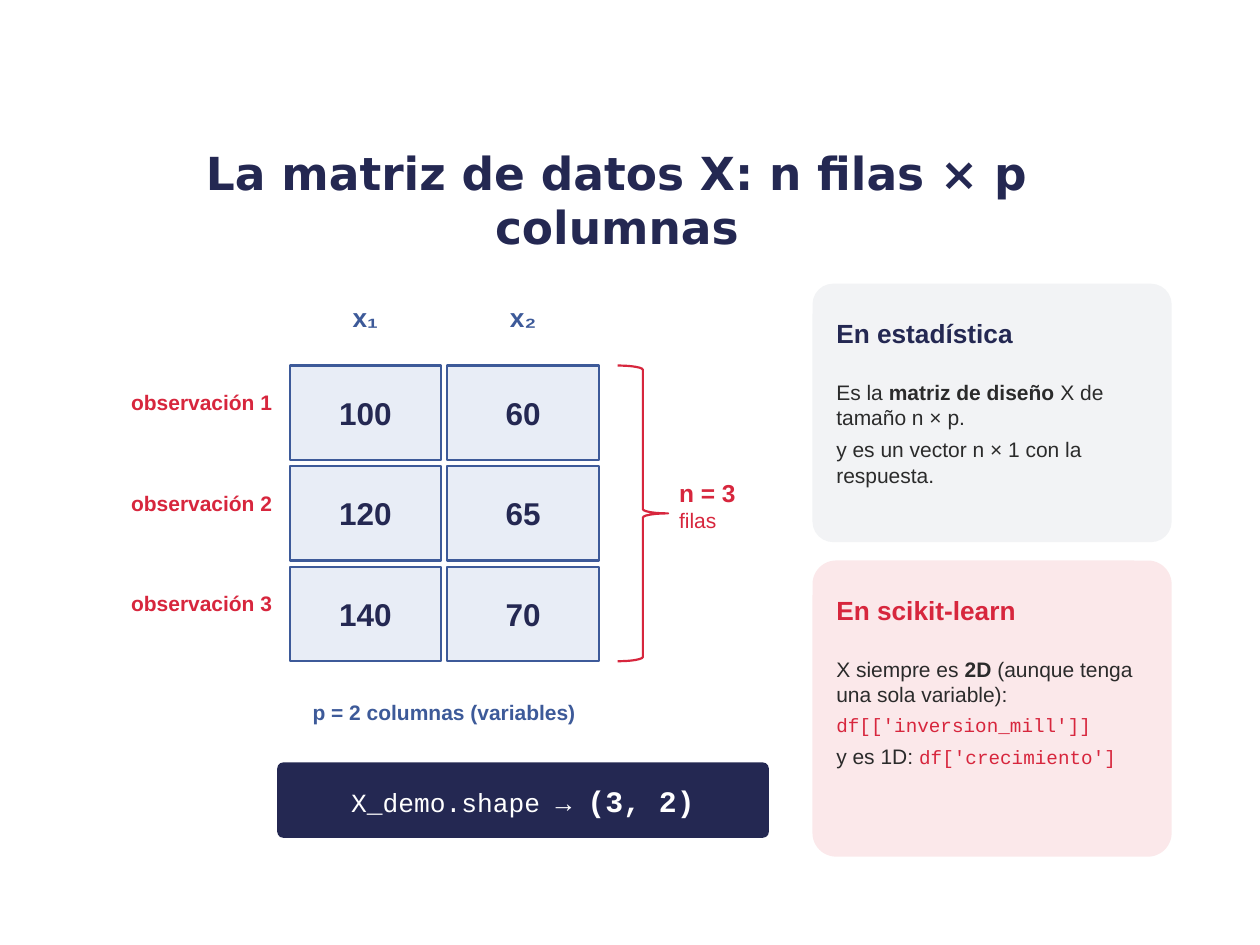
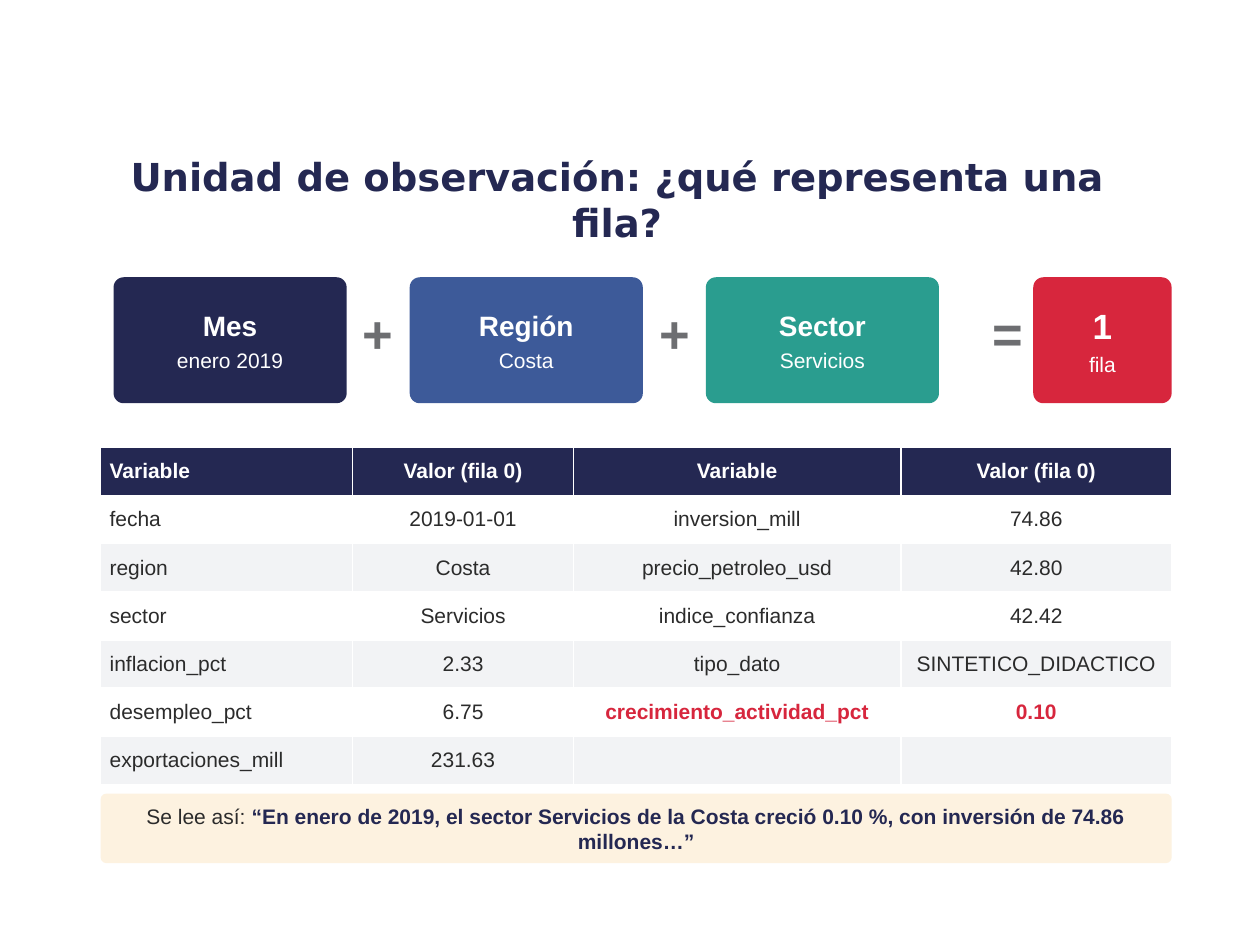
from dataclasses import dataclass, replace

from pptx import Presentation
from pptx.dml.color import RGBColor
from pptx.enum.shapes import MSO_SHAPE
from pptx.enum.text import MSO_ANCHOR, MSO_AUTO_SIZE, PP_ALIGN
from pptx.util import Cm, Pt


@dataclass(frozen=True)
class Theme:
    """Colours, fonts and type sizes shared by the slides."""
    navy: str = "242852"
    blue: str = "3D5A99"
    teal: str = "2A9D8F"
    red: str = "D7263D"
    ink: str = "2B2B2B"
    gray: str = "6D6E71"
    white: str = "FFFFFF"
    pale_blue: str = "E8EDF6"
    pale_gray: str = "F2F3F5"
    pale_red: str = "FBE8EA"
    cream: str = "FDF2E0"
    title_font: str = "DejaVu Sans"
    body_font: str = "Arial"
    code_font: str = "Courier New"
    code_size: int = 11
    body_size: int = 12
    label_size: int = 14
    heading_size: int = 15
    factor_size: int = 16
    result_size: int = 17
    value_size: int = 18
    total_size: int = 20
    long_title_size: int = 22
    title_size: int = 26
    operator_size: int = 30


THEME = Theme()


@dataclass(frozen=True)
class Type:
    size: int = THEME.body_size
    color: str = THEME.ink
    bold: bool = False
    font: str = THEME.body_font

    def apply(self, font):
        font.name, font.size, font.bold = self.font, Pt(self.size), self.bold
        font.color.rgb = RGBColor.from_string(self.color)


BODY = Type()
STRONG = Type(bold=True)
ACCENT = Type(color=THEME.red, bold=True)
CODE = Type(THEME.code_size, THEME.red, font=THEME.code_font)
VARIABLE = Type(THEME.heading_size, THEME.blue, True)
ON_DARK = Type(color=THEME.white)


class SlideBuilder:
    """Holds the theme and the slide being built; boxes are in centimetres."""

    def __init__(self, presentation, theme):
        self.presentation = presentation
        self.theme = theme
        self.slide = None

    def new_slide(self, title, size):
        layout = self.presentation.slide_layouts[5]
        self.slide = self.presentation.slides.add_slide(layout)
        shape = self.slide.shapes.title
        shape.left, shape.top, shape.width, shape.height = map(Cm, (1.9, 3, 21.08, 2.03))
        frame = shape.text_frame
        frame.auto_size = MSO_AUTO_SIZE.NONE
        frame.vertical_anchor = MSO_ANCHOR.MIDDLE
        style = Type(size, self.theme.navy, True, self.theme.title_font)
        self.add_runs(frame.paragraphs[0], [(title, style)], PP_ALIGN.CENTER)

    def add_runs(self, paragraph, runs, align=PP_ALIGN.LEFT, after=None):
        """Add (text, type) runs; a single run is styled on its paragraph."""
        paragraph.alignment = align
        if after is not None:
            paragraph.space_after = Pt(after)
        for text, style in runs:
            run = paragraph.add_run()
            run.text = text
            style.apply(paragraph.font if len(runs) == 1 else run.font)

    def fill_frame(self, frame, paragraphs, align, anchor, margin, after):
        frame.word_wrap = True
        frame.vertical_anchor = anchor
        frame.margin_left = frame.margin_right = Cm(margin)
        frame.margin_top = frame.margin_bottom = Cm(margin)
        for index, runs in enumerate(paragraphs):
            paragraph = frame.add_paragraph() if index else frame.paragraphs[0]
            self.add_runs(paragraph, runs, align, after)

    def text(self, box, paragraphs, align=PP_ALIGN.LEFT, anchor=MSO_ANCHOR.TOP, after=4):
        shape = self.slide.shapes.add_textbox(*map(Cm, box))
        self.fill_frame(shape.text_frame, paragraphs, align, anchor, 0.1, after)

    def shape(self, kind, box, fill=None, line=None, paragraphs=()):
        shape = self.slide.shapes.add_shape(kind, *map(Cm, box))
        shape.shadow.inherit = False
        if fill:
            shape.fill.solid()
            shape.fill.fore_color.rgb = RGBColor.from_string(fill)
        else:
            shape.fill.background()
        if line:
            shape.line.color.rgb = RGBColor.from_string(line)
            shape.line.width = Pt(1.25)
        else:
            shape.line.fill.background()
        if kind == MSO_SHAPE.ROUNDED_RECTANGLE:
            shape.adjustments[0] = 0.08
        if paragraphs:
            self.fill_frame(shape.text_frame, paragraphs, PP_ALIGN.CENTER,
                            MSO_ANCHOR.MIDDLE, 0.2, 3)

    def panel(self, box, fill, paragraphs=()):
        self.shape(MSO_SHAPE.ROUNDED_RECTANGLE, box, fill, None, paragraphs)

    def card(self, top, height, fill, heading, color, paragraphs):
        left = 16.38
        self.panel((left, top, 7.24, height), fill)
        self.text((left + 0.38, top + 0.3, 6.6, 1.4),
                  [[(heading, Type(self.theme.heading_size, color, True))]],
                  anchor=MSO_ANCHOR.MIDDLE)
        self.text((left + 0.38, top + 1.83, 6.48, height - 2.03), paragraphs)

    def table(self, left, top, widths, row_height, rows, accents):
        box = (left, top, sum(widths), row_height * len(rows))
        table = self.slide.shapes.add_table(len(rows), len(widths), *map(Cm, box)).table
        for column, width in zip(table.columns, widths):
            column.width = Cm(width)
        for row_index, values in enumerate(rows):
            table.rows[row_index].height = Cm(row_height)
            if row_index == 0:
                fill, style = self.theme.navy, replace(ON_DARK, bold=True)
            else:
                fill = self.theme.white if row_index % 2 else self.theme.pale_gray
                style = BODY
            for column_index, value in enumerate(values):
                cell = table.cell(row_index, column_index)
                cell.fill.solid()
                cell.fill.fore_color.rgb = RGBColor.from_string(fill)
                cell.vertical_anchor = MSO_ANCHOR.MIDDLE
                cell.margin_left = cell.margin_right = Cm(0.18)
                cell.margin_top = cell.margin_bottom = Cm(0.08)
                if value:
                    cell_style = ACCENT if (row_index, column_index) in accents else style
                    self.add_runs(cell.text_frame.paragraphs[0], [(value, cell_style)],
                                  PP_ALIGN.CENTER if column_index else PP_ALIGN.LEFT)


def build_matrix_slide(builder):
    theme = builder.theme
    builder.new_slide("La matriz de datos X: n filas × p columnas", theme.title_size)

    # Data matrix with column and row labels
    left, top, width, height, gap = 5.84, 7.37, 3.05, 1.9, 0.13
    values = [("100", "60"), ("120", "65"), ("140", "70")]
    value_type = Type(theme.value_size, theme.navy, True)
    for column, name in enumerate(("x₁", "x₂")):
        builder.text((left + column * (width + gap), 5.97, width, 1.14),
                     [[(name, VARIABLE)]], PP_ALIGN.CENTER)
    for row, observation in enumerate(values):
        y = top + row * (height + gap)
        builder.text((2.16, y + 0.38, 3.43, 1.14),
                     [[(f"observación {row + 1}", ACCENT)]], PP_ALIGN.RIGHT)
        for column, value in enumerate(observation):
            builder.shape(MSO_SHAPE.RECTANGLE,
                          (left + column * (width + gap), y, width, height),
                          theme.pale_blue, theme.blue, [[(value, value_type)]])

    # Dimensions
    builder.panel((left, 13.72, 2 * width + gap, 1.27), None,
                  [[("p = 2 columnas (variables)", Type(color=theme.blue, bold=True))]])
    builder.shape(MSO_SHAPE.RIGHT_BRACE, (12.45, top, 1.02, 3 * height + 2 * gap),
                  line=theme.red)
    builder.text((13.59, 9.53, 3.56, 1.78),
                 [[("n = 3", replace(ACCENT, size=theme.label_size))],
                  [("filas", replace(ACCENT, bold=False))]], after=0)
    shape_code = Type(theme.heading_size, theme.white, font=theme.code_font)
    builder.panel((5.59, 15.37, 9.91, 1.52), theme.navy,
                  [[("X_demo.shape → ", shape_code),
                    ("(3, 2)", replace(shape_code, size=theme.result_size, bold=True))]])

    # Side cards
    builder.card(5.72, 5.21, theme.pale_gray, "En estadística", theme.navy, [
        [("Es la ", BODY), ("matriz de diseño", STRONG), (" X de tamaño n × p.", BODY)],
        [("y es un vector n × 1 con la respuesta.", BODY)],
    ])
    builder.card(11.3, 5.97, theme.pale_red, "En scikit-learn", theme.red, [
        [("X siempre es ", BODY), ("2D", STRONG),
         (" (aunque tenga una sola variable):", BODY)],
        [("df[['inversion_mill']]", CODE)],
        [("y es 1D: ", BODY), ("df['crecimiento']", CODE)],
    ])


def build_observation_slide(builder):
    theme = builder.theme
    builder.new_slide("Unidad de observación: ¿qué representa una fila?",
                      theme.long_title_size)

    # Factors that make up one row
    top, height, width, gap = 5.59, 2.54, 4.7, 1.27
    factors = [("Mes", "enero 2019", theme.navy), ("Región", "Costa", theme.blue),
               ("Sector", "Servicios", theme.teal)]
    factor_type = Type(theme.factor_size, theme.white, True)
    operator_type = Type(theme.operator_size, theme.gray, True)
    operators = [("=", 19.81, 1.02)]
    for index, (name, value, color) in enumerate(factors):
        left = 2.29 + index * (width + gap)
        builder.panel((left, top, width, height), color,
                      [[(name, factor_type)], [(value, ON_DARK)]])
        if index < len(factors) - 1:
            operators.append(("+", left + width, gap))
    for symbol, left, symbol_width in operators:
        builder.text((left, top + 0.38, symbol_width, 1.78),
                     [[(symbol, operator_type)]], PP_ALIGN.CENTER)
    builder.panel((20.83, top, 2.79, height), theme.red,
                  [[("1", replace(factor_type, size=theme.total_size))],
                   [("fila", ON_DARK)]])

    # Values of the first row
    rows = [
        ("Variable", "Valor (fila 0)", "Variable", "Valor (fila 0)"),
        ("fecha", "2019-01-01", "inversion_mill", "74.86"),
        ("region", "Costa", "precio_petroleo_usd", "42.80"),
        ("sector", "Servicios", "indice_confianza", "42.42"),
        ("inflacion_pct", "2.33", "tipo_dato", "SINTETICO_DIDACTICO"),
        ("desempleo_pct", "6.75", "crecimiento_actividad_pct", "0.10"),
        ("exportaciones_mill", "231.63", "", ""),
    ]
    builder.table(2.03, 9.02, (5.08, 4.45, 6.6, 5.46), 0.97, rows, {(5, 2), (5, 3)})

    # Reading of the row
    builder.panel((2.03, 16, 21.59, 1.4), theme.cream, [[
        ("Se lee así: ", BODY),
        ("“En enero de 2019, el sector Servicios de la Costa creció 0.10 %, "
         "con inversión de 74.86 millones…”", replace(STRONG, color=theme.navy)),
    ]])


def main():
    presentation = Presentation()
    presentation.slide_width, presentation.slide_height = Cm(25.4), Cm(19.05)
    builder = SlideBuilder(presentation, THEME)
    build_matrix_slide(builder)
    build_observation_slide(builder)
    presentation.save("out.pptx")


if __name__ == "__main__":
    main()
